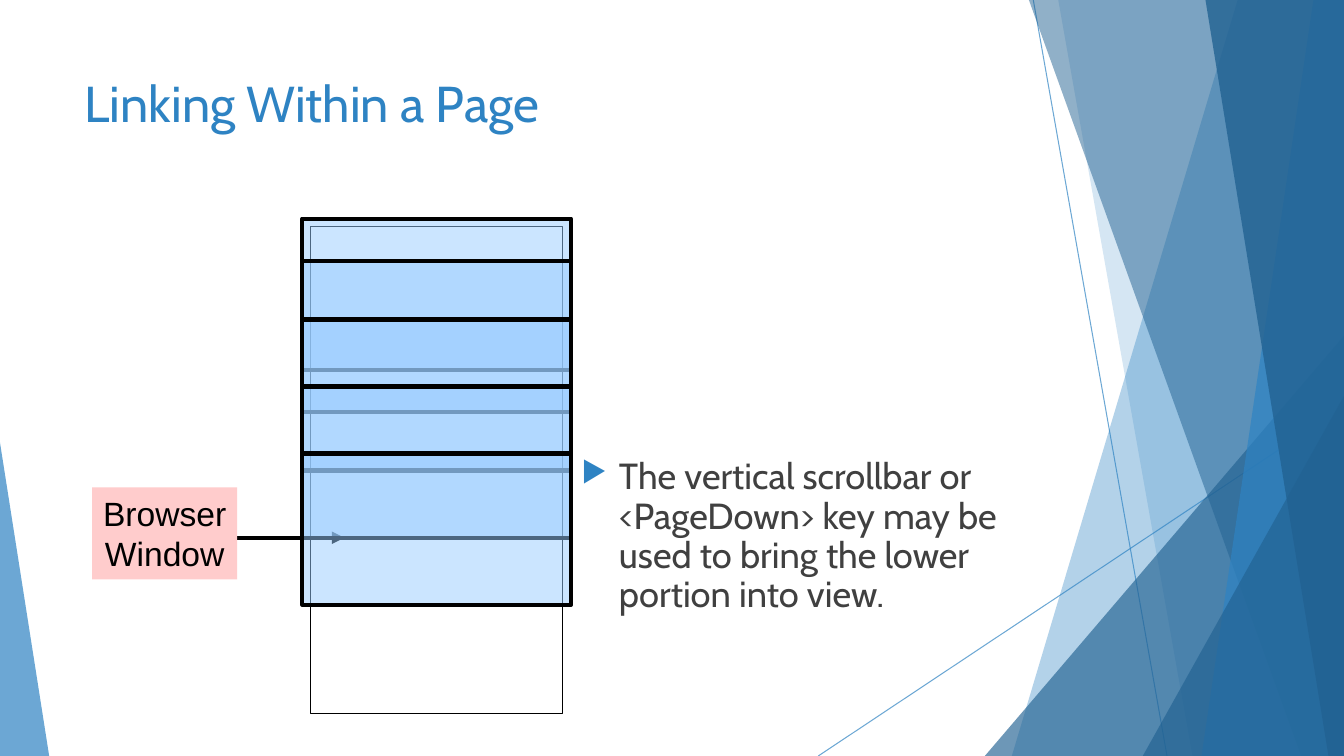
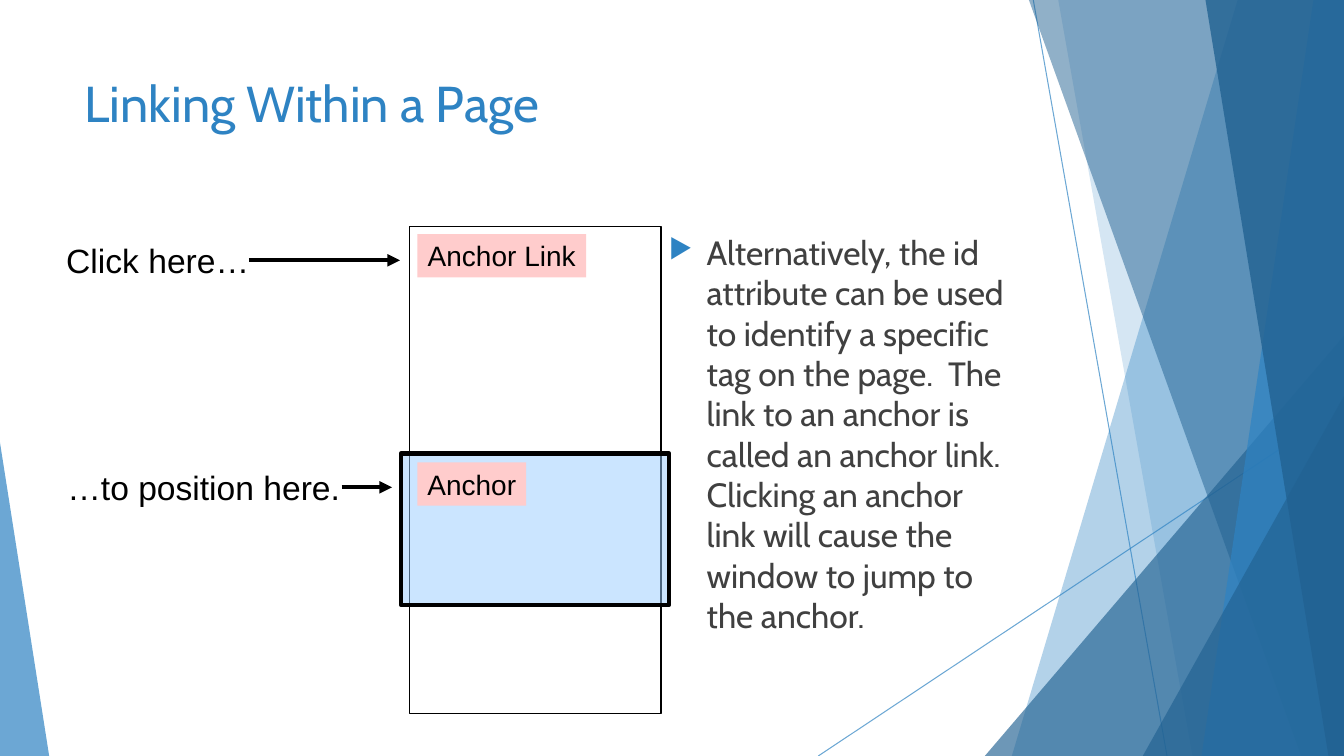
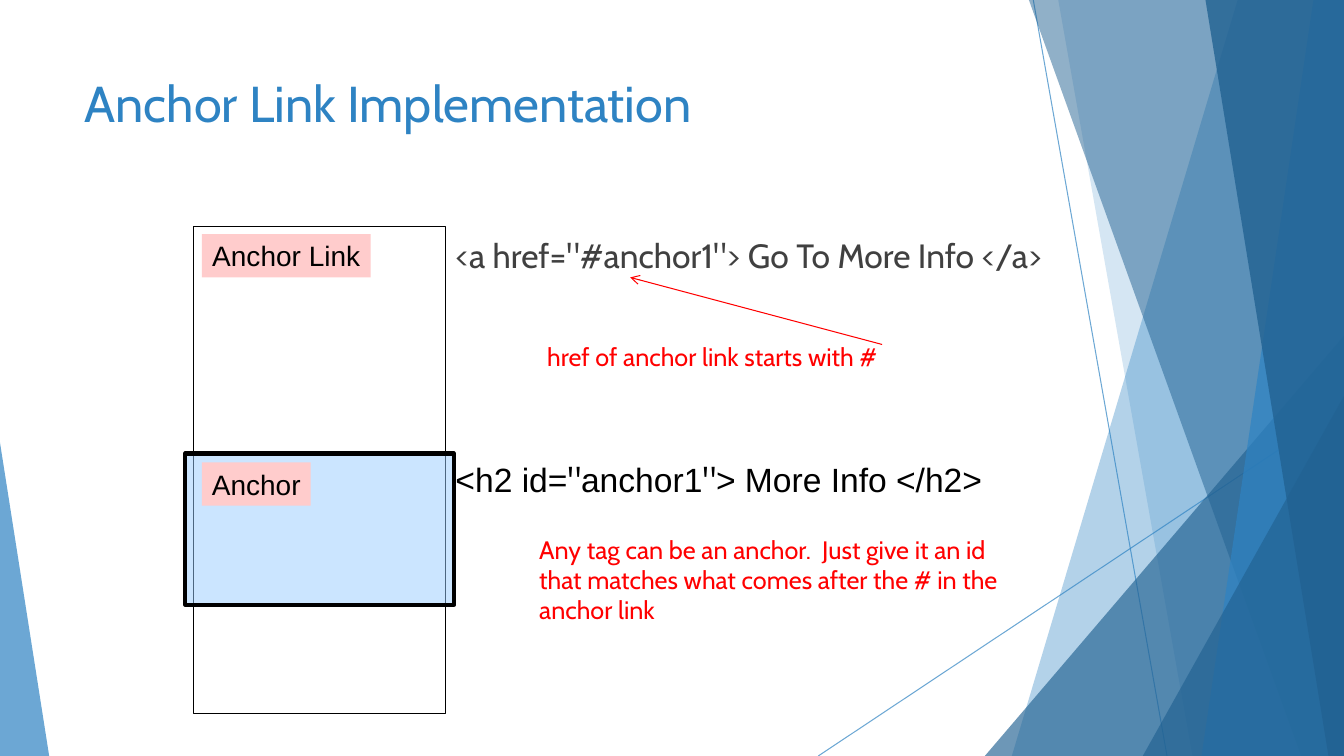
from lxml import etree
from pptx import Presentation
from pptx.dml.color import RGBColor
from pptx.enum.shapes import MSO_CONNECTOR, MSO_SHAPE
from pptx.enum.text import MSO_ANCHOR, MSO_AUTO_SIZE, PP_ALIGN
from pptx.oxml.ns import qn
from pptx.util import Cm, Pt

RECTANGLE, TRIANGLE = MSO_SHAPE.RECTANGLE, MSO_SHAPE.ISOSCELES_TRIANGLE
STRAIGHT = MSO_CONNECTOR.STRAIGHT
TOP, LEFT, CENTER = MSO_ANCHOR.TOP, PP_ALIGN.LEFT, PP_ALIGN.CENTER
FIT_SHAPE, NO_FIT = MSO_AUTO_SIZE.SHAPE_TO_FIT_TEXT, MSO_AUTO_SIZE.NONE

SLIDE_WIDTH, SLIDE_HEIGHT = 33.87, 19.05
BLUE, DARK_BLUE, SKY = "2E83C3", "226292", "99CCFF"
BLACK, WHITE, GREY, PINK, RED = "000000", "FFFFFF", "404040", "FFCCCC", "FF0000"
CABIN, ARIAL = "Cabin", "Arial"
TITLE_BOX = (1.88, 1.7, 23.88, 3.66)

# Sketch of a web page with a browser window over it
SKETCH_TOP, SKETCH_WIDTH, SKETCH_HEIGHT = 5.72, 6.35, 12.27
WINDOW_HEIGHT, WINDOW_MARGIN = 3.81, 0.21
ANCHOR_OFFSET = 5.71


def color(hex_text):
    return RGBColor.from_string(hex_text)


def set_alpha(shape, percent):
    """Make the first colour of the shape see-through."""
    first_color = next(shape.element.iter(qn("a:srgbClr")))
    etree.SubElement(first_color, qn("a:alpha")).set("val", str(percent * 1000))


def paint(shape, fill, alpha=100, line=None, width=0.75):
    shape.shadow.inherit = False
    shape.fill.solid()
    shape.fill.fore_color.rgb = color(fill)
    if alpha < 100:
        set_alpha(shape, alpha)
    if line:
        shape.line.color.rgb = color(line)
        shape.line.width = Pt(width)
    else:
        shape.line.fill.background()


def add_box(page, box, fill, kind=RECTANGLE, **style):
    shape = page.shapes.add_shape(kind, *map(Cm, box))
    paint(shape, fill, **style)
    return shape


def add_line(page, start, end, line, width=0.75, head=None):
    connector = page.shapes.add_connector(STRAIGHT, *map(Cm, start + end))
    connector.line.color.rgb = color(line)
    connector.line.width = Pt(width)
    if head:
        outline = connector.get_or_add_ln()
        etree.SubElement(outline, qn("a:tailEnd")).set("type", head)
    etree.SubElement(connector.element.spPr, qn("a:effectLst"))
    return connector


def format_para(para, size, font, ink, align=LEFT):
    para.alignment = align
    para.font.size = Pt(size)
    para.font.name = font
    para.font.color.rgb = color(ink)


def add_text(page, box, text, size, font=CABIN, ink=GREY, wrap=True):
    frame = page.shapes.add_textbox(*map(Cm, box)).text_frame
    frame.word_wrap = wrap
    para = frame.paragraphs[0]
    para.text = text
    format_para(para, size, font, ink)
    return para


def add_bullet_text(page, box, text, size, spacing=1.0):
    para = add_text(page, box, text, size)
    para.space_before = Pt(10)
    para.line_spacing = spacing
    properties = para._p.get_or_add_pPr()
    properties.set("marL", str(Cm(0.95)))
    properties.set("indent", str(Cm(-0.95)))
    bullet_color = etree.SubElement(properties, qn("a:buClr"))
    etree.SubElement(bullet_color, qn("a:srgbClr")).set("val", BLUE)
    etree.SubElement(properties, qn("a:buSzPct")).set("val", "80000")
    etree.SubElement(properties, qn("a:buChar")).set("char", "▶")


def add_label(page, box, lines, size):
    frame = add_box(page, box, PINK).text_frame
    frame.word_wrap = False
    frame.auto_size = FIT_SHAPE
    for index, line in enumerate(lines):
        para = frame.add_paragraph() if index else frame.paragraphs[0]
        para.text = line
        format_para(para, size, ARIAL, BLACK, CENTER)


def add_band(page, top_x, bottom_x, fill, alpha):
    """Slanted left edge, straight right edge on the slide border."""
    builder = page.shapes.build_freeform(Cm(top_x), 0)
    corners = [(SLIDE_WIDTH, 0), (SLIDE_WIDTH, SLIDE_HEIGHT), (bottom_x, SLIDE_HEIGHT)]
    builder.add_line_segments([(Cm(x), Cm(y)) for x, y in corners])
    band = builder.convert_to_shape()
    paint(band, fill, alpha)
    return band


def add_corner(page, left, top, width, tip, fill, alpha):
    box = (left, top, width, SLIDE_HEIGHT - top)
    corner = add_box(page, box, fill, TRIANGLE, alpha=alpha)
    corner.adjustments[0] = tip
    return corner


def decorate(layout, page):
    """Build the shared background and hand it to the layout."""
    lines = [
        add_line(page, (26.04, 0), (29.41, SLIDE_HEIGHT), BLUE),
        add_line(page, (SLIDE_WIDTH, 10.24), (20.62, SLIDE_HEIGHT), BLUE),
    ]
    for line in lines:
        set_alpha(line, 70)
    parts = lines + [
        add_band(page, 31.19, 25.5, BLUE, 36),
        add_band(page, 26.67, 30.05, BLUE, 20),
        add_corner(page, 24.82, 8.46, 9.05, 1, DARK_BLUE, 66),
        add_band(page, 25.93, 32.79, DARK_BLUE, 50),
        add_band(page, 33.1, 30.28, BLUE, 70),
        add_band(page, 30.38, 33.48, DARK_BLUE, 80),
        add_corner(page, 28.8, 9.98, 5.07, 1, DARK_BLUE, 66),
        add_corner(page, 0, 11.15, 1.24, 0, BLUE, 70),
    ]
    for part in parts:
        layout.shapes.element.append(part.element)


def set_title(page, text):
    title = page.shapes.title
    title.left, title.top, title.width, title.height = map(Cm, TITLE_BOX)
    frame = title.text_frame
    frame.text = text
    frame.vertical_anchor = TOP
    frame.auto_size = NO_FIT
    format_para(frame.paragraphs[0], 36, CABIN, BLUE)


def add_sketch(page, left):
    box = (left, SKETCH_TOP, SKETCH_WIDTH, SKETCH_HEIGHT)
    add_box(page, box, WHITE, line=BLACK)


def add_window(page, left, offset):
    box = (left - WINDOW_MARGIN, SKETCH_TOP + offset,
           SKETCH_WIDTH + 2 * WINDOW_MARGIN, WINDOW_HEIGHT)
    add_box(page, box, SKY, alpha=50, line=BLACK, width=3)


def add_anchor_sketch(page, left):
    """Web page with an anchor link on top and its anchor in the window."""
    add_sketch(page, left)
    add_window(page, left, ANCHOR_OFFSET)
    labels = [("Anchor Link", 0.18, 4.25), ("Anchor", 5.93, 2.74)]
    for text, offset, width in labels:
        box = (left + WINDOW_MARGIN, SKETCH_TOP + offset, width, 1.09)
        add_label(page, box, [text], 20)


def fill_scroll_slide(page):
    set_title(page, "Linking Within a Page")
    add_bullet_text(
        page, (14.4, 11.43, 11.63, 4.65),
        "The vertical scrollbar or <PageDown> key may be used to bring "
        "the lower portion into view.", 25.9, 0.9)
    sketch_left = 7.83
    add_sketch(page, sketch_left)
    add_line(page, (5.72, 13.55), (8.68, 13.55), BLACK, 3, "triangle")
    add_label(page, (2.32, 12.28, 3.66, 2.32), ["Browser", "Window"], 24)
    for offset in (-0.21, 0.85, 2.33, 4.02, ANCHOR_OFFSET):
        add_window(page, sketch_left, offset)


def fill_jump_slide(page):
    set_title(page, "Linking Within a Page")
    add_bullet_text(
        page, (16.61, 5.72, 9.32, 12.07),
        "Alternatively, the id attribute can be used to identify a specific "
        "tag on the page.  The link to an anchor is called an anchor link. "
        "Clicking an anchor link will cause the window to jump to the anchor.", 24)
    add_anchor_sketch(page, 10.31)
    add_text(page, (1.42, 5.92, 5.13, 1.27), "Click here…", 24, ARIAL, BLACK, wrap=False)
    add_text(page, (1.45, 11.63, 9.27, 1.27), "…to position here.", 24, ARIAL, BLACK)
    add_line(page, (8.61, 12.28), (9.88, 12.28), BLACK, 3, "triangle")
    add_line(page, (6.27, 6.56), (10.08, 6.56), BLACK, 3, "triangle")


def fill_code_slide(page):
    set_title(page, "Anchor Link Implementation")
    link = add_text(page, (11.23, 5.92, 18.62, 1.91),
                    '<a href="#anchor1"> Go To More Info </a>', 24)
    link.space_before = Pt(10)
    link.line_spacing = 0.9
    add_anchor_sketch(page, 4.88)

    # Anchor tag, with its quotation marks in the title font
    anchor = add_text(page, (11.23, 11.43, 15.44, 1.91), "", 24, ARIAL, BLACK)
    anchor.space_before = Pt(4.8)
    for text in ("<h2 id=", '"', "anchor1", '"', "> More Info </h2>"):
        span = anchor.add_run()
        span.text = text
        span.font.name = CABIN if text == '"' else ARIAL

    # Red remarks
    add_text(page, (13.54, 8.47, 9.53, 1.02),
             "href of anchor link starts with #", 18, ink=RED, wrap=False)
    add_line(page, (22.23, 8.68), (15.88, 6.99), RED, head="arrow")
    add_text(page, (13.34, 13.34, 12.7, 2.57),
             "Any tag can be an anchor.  Just give it an id that matches "
             "what comes after the # in the anchor link", 18, ink=RED)


deck = Presentation()
deck.slide_width, deck.slide_height = Cm(SLIDE_WIDTH), Cm(SLIDE_HEIGHT)
title_only = deck.slide_layouts[5]
pages = [deck.slides.add_slide(title_only) for _ in range(3)]
decorate(title_only, pages[0])
for fill_slide, page in zip((fill_scroll_slide, fill_jump_slide, fill_code_slide), pages):
    fill_slide(page)
deck.save("out.pptx")
